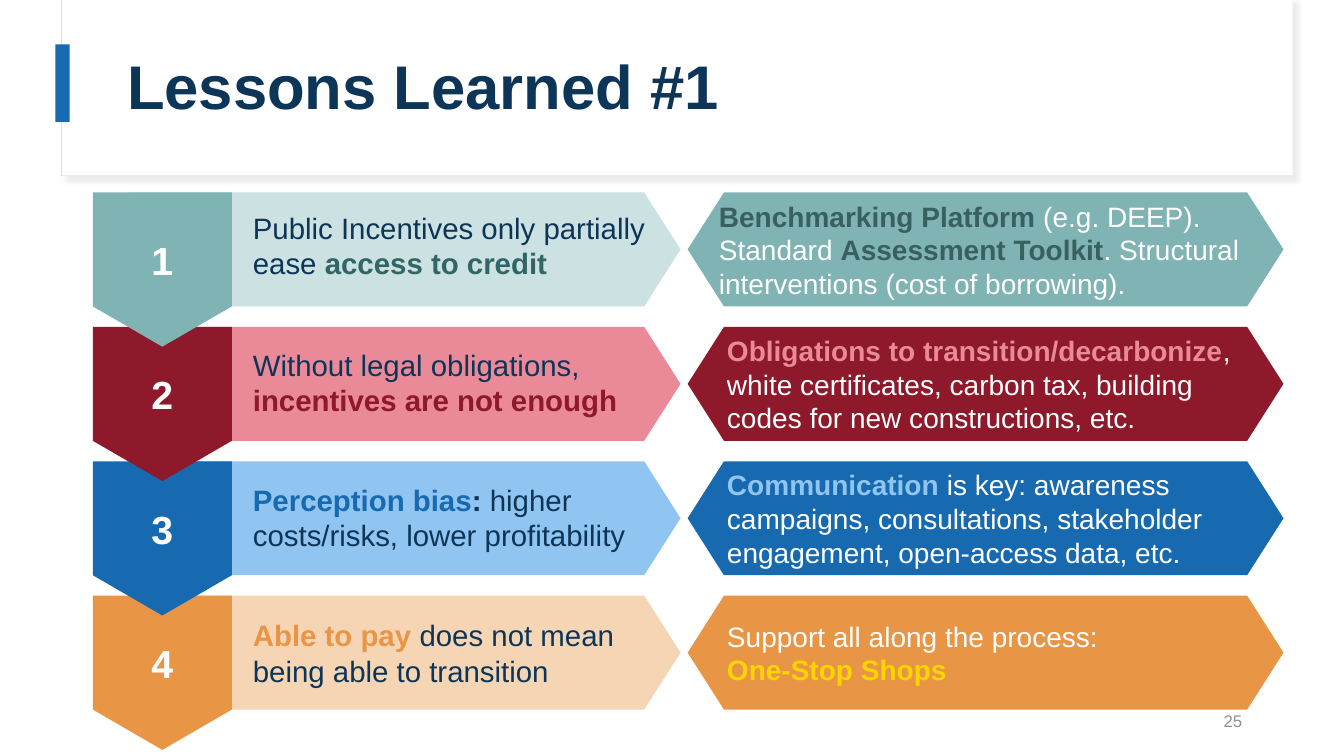
from dataclasses import dataclass

import pptx
import pptx.dml.color
import pptx.enum.shapes
import pptx.enum.text
import pptx.oxml
import pptx.util

Inches = pptx.util.Inches
ALIGN = pptx.enum.text.PP_ALIGN


@dataclass(frozen=True)
class Theme:
    font: str = "Arial"
    navy: str = "0C3558"
    white: str = "FFFFFF"
    border: str = "E1E1E1"
    grey: str = "8C909A"
    teal: str = "80B3B3"
    pale_teal: str = "CCE1E1"
    deep_teal: str = "326565"
    dark_teal: str = "396060"
    red: str = "8D192B"
    pink: str = "EA8A99"
    blue: str = "176AB0"
    sky: str = "91C5F1"
    orange: str = "E89546"
    peach: str = "F6D5B5"
    yellow: str = "FFD400"
    title_pt: int = 44
    number_pt: int = 28
    lesson_pt: int = 21
    answer_pt: int = 20
    page_pt: int = 12


T = Theme()

ROW_TOP, ROW_PITCH, ROW_H = 1.91, 4 / 3, 1.13
TAG_LEFT, TAG_W, TAG_POINT = 0.92, 1.38, 0.4
LESSON_W, ANSWER_LEFT, ANSWER_W, HEX_POINT = 5.83, 6.82, 5.91, 0.36

# Each text is a list of (words, colour, bold); a final newline breaks the line.
ROWS = [
    dict(dark=T.teal, light=T.pale_teal, inset=0.31, box=(2.0, 4.13, 0.87),
         lesson=[("Public Incentives only partially ease ", T.navy, False),
                 ("access to credit", T.deep_teal, True)],
         answer=[("Benchmarking Platform ", T.dark_teal, True),
                 ("(e.g. DEEP). Standard ", T.white, False),
                 ("Assessment Toolkit", T.dark_teal, True),
                 (". Structural interventions (cost of borrowing).", T.white, False)]),
    dict(dark=T.red, light=T.pink, inset=0.39, box=(3.38, 4.02, 0.82),
         lesson=[("Without legal obligations, ", T.navy, False),
                 ("incentives are not enough", T.red, True)],
         answer=[("Obligations to transition/decarbonize", T.pink, True),
                 (", white certificates, carbon tax, building codes for new "
                  "constructions, etc.", T.white, False)]),
    dict(dark=T.blue, light=T.sky, inset=0.39, box=(4.56, 4.55, 1.14),
         lesson=[("Perception bias", T.blue, True), (":", T.navy, True),
                 (" higher costs/risks, lower profitability", T.navy, False)],
         answer=[("Communication ", T.sky, True),
                 ("is key: awareness campaigns, consultations, stakeholder "
                  "engagement, open-access data, etc.", T.white, False)]),
    dict(dark=T.orange, light=T.peach, inset=0.39, box=(5.92, 4.36, 1.11),
         lesson=[("Able to pay ", T.orange, True),
                 ("does not mean being able to transition", T.navy, False)],
         answer=[("Support all along the process: \n", T.white, False),
                 ("One-Stop Shops", T.yellow, True)]),
]


def rgb(value):
    return pptx.dml.color.RGBColor.from_string(value)


def write(sp, runs, size, align=ALIGN.LEFT, insets=(0.1, 0.1, 0.1, 0.1)):
    """Fill a shape with one paragraph; insets are left, top, right, bottom."""
    tf = sp.text_frame
    tf.word_wrap = True
    tf.vertical_anchor = pptx.enum.text.MSO_ANCHOR.MIDDLE
    tf.margin_left, tf.margin_top, tf.margin_right, tf.margin_bottom = map(Inches, insets)
    p = tf.paragraphs[0]
    p.alignment = align
    for words, colour, bold in runs:
        r = p.add_run()
        r.text = words.rstrip("\n")
        r.font.name, r.font.size, r.font.bold = T.font, pptx.util.Pt(size), bold
        r.font.color.rgb = rgb(colour)
        if words.endswith("\n"):
            p.add_line_break()
    return p


def paint(sp, fill):
    sp.shadow.inherit = False
    sp.fill.solid()
    sp.fill.fore_color.rgb = rgb(fill)
    sp.line.fill.background()
    return sp


def add_box(s, x, y, w, h, fill):
    rect = pptx.enum.shapes.MSO_SHAPE.RECTANGLE
    return paint(s.shapes.add_shape(rect, Inches(x), Inches(y), Inches(w), Inches(h)), fill)


def add_polygon(s, points, fill):
    points = [(Inches(x), Inches(y)) for x, y in points]
    outline = s.shapes.build_freeform(*points[0])
    outline.add_line_segments(points[1:], close=True)
    return paint(outline.convert_to_shape(), fill)


def add_hexagon(s, x, y, w, fill):
    left, right = x + HEX_POINT, x + w - HEX_POINT
    middle, bottom = y + ROW_H / 2, y + ROW_H
    return add_polygon(s, [(left, y), (x, middle), (left, bottom),
                           (right, bottom), (x + w, middle), (right, y)], fill)


def add_tag(s, y, fill):
    """Number tag with a point at its foot."""
    x, right, bottom = TAG_LEFT, TAG_LEFT + TAG_W, y + ROW_H
    return add_polygon(s, [(x, y), (x, bottom), (x + TAG_W / 2, bottom + TAG_POINT),
                           (right, bottom), (right, y)], fill)


def add_text(s, x, y, w, h, runs, size, **options):
    sp = s.shapes.add_textbox(Inches(x), Inches(y), Inches(w), Inches(h))
    write(sp, runs, size, **options)


def add_soft_shadow(sp):
    effects = pptx.oxml.parse_xml(
        '<a:effectLst xmlns:a="http://schemas.openxmlformats.org/drawingml/2006/main">'
        '<a:outerShdw blurRad="50800" dist="38100" dir="2700000" algn="tl" rotWithShape="0">'
        '<a:srgbClr val="D9D9D9"><a:alpha val="50000"/></a:srgbClr>'
        '</a:outerShdw></a:effectLst>')
    blank = sp.element.spPr.find(effects.tag)
    sp.element.spPr.replace(blank, effects)


def add_header(s, title):
    panel = add_box(s, 0.61, 0, 12.21, 1.74, T.white)
    panel.line.color.rgb = rgb(T.border)
    panel.line.width = pptx.util.Pt(0.75)
    add_soft_shadow(panel)
    add_box(s, 0.62, 0, 12.2, 1.74, T.white)
    add_box(s, 0.55, 0.44, 0.14, 0.77, T.blue)

    sp = s.shapes.title
    sp.left, sp.top, sp.width, sp.height = map(Inches, (1.16, 0.24, 11.12, 1.29))
    p = write(sp, [(title, T.navy, True)], T.title_pt, insets=(0.1, 0.05, 0.1, 0.05))
    p.line_spacing = 0.9
    s.shapes._spTree.append(sp.element)


def add_row(s, number, row):
    y = ROW_TOP + (number - 1) * ROW_PITCH
    add_hexagon(s, TAG_LEFT, y, LESSON_W, row["light"])
    write(add_tag(s, y, row["dark"]), [(str(number), T.white, True)], T.number_pt,
          align=ALIGN.CENTER, insets=(0.1, 0.1, 0.1, 0.3))
    top, width, height = row["box"]
    add_text(s, 2.41, top, width, height, row["lesson"], T.lesson_pt)
    answer = add_hexagon(s, ANSWER_LEFT, y, ANSWER_W, row["dark"])
    write(answer, row["answer"], T.answer_pt,
          insets=(row["inset"], 0.1, row["inset"], 0.1))


def main():
    prs = pptx.Presentation()
    prs.slide_width, prs.slide_height = Inches(13.33), Inches(7.5)
    s = prs.slides.add_slide(prs.slide_layouts[5])
    add_header(s, "Lessons Learned #1")
    # Bottom row first, so each tag's point lies over the row below it.
    for number, row in reversed(list(enumerate(ROWS, 1))):
        add_row(s, number, row)
    add_text(s, 9.42, 6.95, 3, 0.4, [("25", T.grey, False)], T.page_pt,
             align=ALIGN.RIGHT, insets=(0.1, 0.05, 0.1, 0.05))
    prs.save("out.pptx")


if __name__ == "__main__":
    main()
